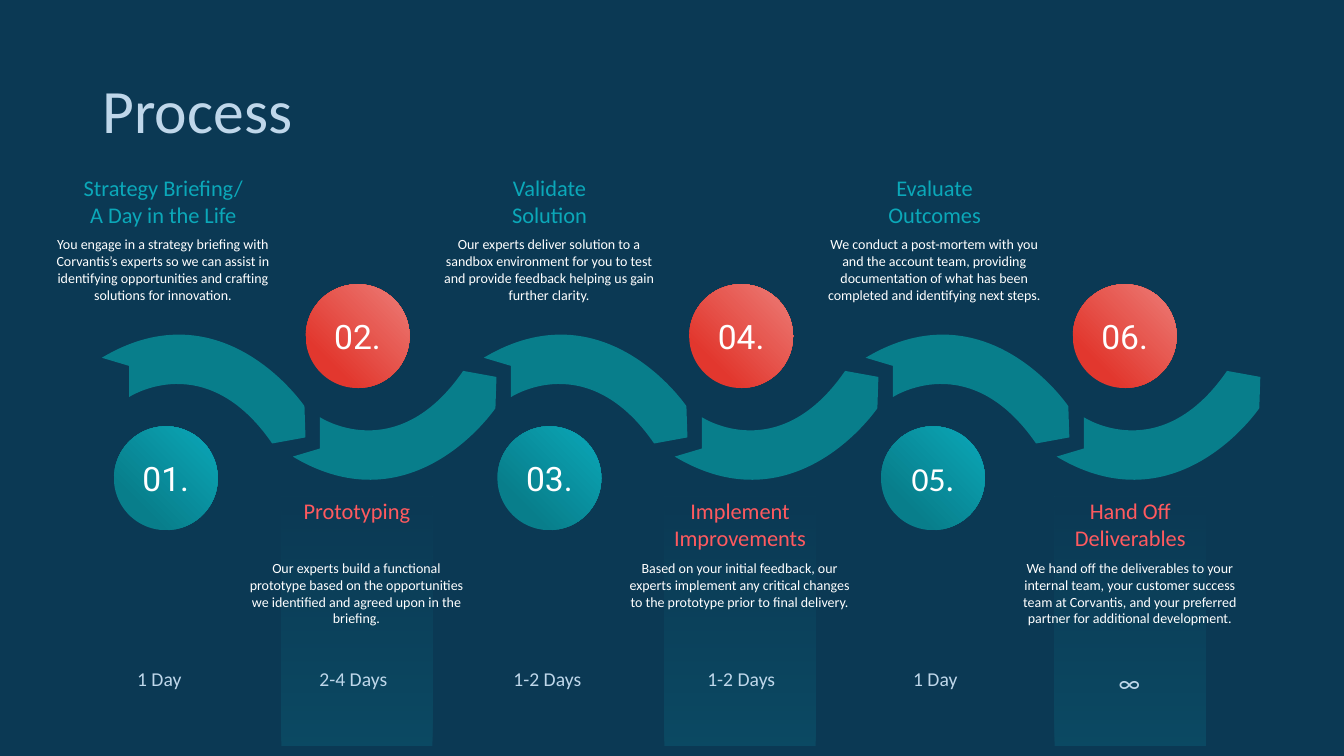
from lxml import etree
from pptx import Presentation
from pptx import util as u
from pptx.dml.color import RGBColor
from pptx.enum import shapes, text
from pptx.oxml.ns import qn

# text centre, heading width, heading, description, duration, numeral font
STEPS = [
    (1.62, 1.86, "Strategy Briefing/\vA Day in the Life",
     "You engage in a strategy briefing with Corvantis’s experts so we can assist in "
     "identifying opportunities and crafting solutions for innovation.", "1 Day", "Roboto"),
    (3.54, 1.74, "Prototyping",
     "Our experts build a functional prototype based on the opportunities we identified "
     "and agreed upon in the briefing.", "2-4 Days", "Roboto"),
    (5.45, 1.74, "Validate\nSolution",
     "Our experts deliver solution to a sandbox environment for you to test and provide "
     "feedback helping us gain further clarity.", "1-2 Days", "Roboto"),
    (7.34, 1.42, "Implement\nImprovements",
     "Based on your initial feedback, our experts implement any critical changes to the "
     "prototype prior to final delivery.", "1-2 Days", "Roboto"),
    (9.27, 1.74, "Evaluate\nOutcomes",
     "We conduct a post-mortem with you and the account team, providing documentation of "
     "what has been completed and identifying next steps.", "1 Day", "Calibri"),
    (11.21, 1.74, "Hand Off\nDeliverables",
     "We hand off the deliverables to your internal team, your customer success team at "
     "Corvantis, and your preferred partner for additional development.", "∞", "Roboto"),
]
NAVY, PALE, WHITE, BAND = "0B3954", "BFD7EA", "FFFFFF", "087E8B"
TOP = {"heading": "0BA8B9", "ball": ("0BA8B9", "087E8B"), "ball_y": 4.23, "text_y": 1.73, "body_y": 2.34, "band_y": 2.83}
BOTTOM = {"heading": "FF5A5F", "ball": ("EC7E78", "E2372E"), "ball_y": 2.82, "text_y": 4.93, "body_y": 5.55, "band_y": 3.68}
BAND_SPAN, BALL_SPAN, DURATION_SPAN = (1.01, 10.48), (1.13, 10.64), (1.58, 11.2)  # first and last step
BAND_H, BALL = 1.57, 1.03
# Ribbon outline: each entry is a corner, or the three points of a curve
RIBBON = [
    [(0.27, 0.8)], [(0.27, 1.11)], [(0.27, 1.11), (1.03, 0.61), (1.69, 1.57)],
    [(2.02, 1.51)], [(2.01, 1.2)], [(2.01, 1.2), (1.2, 0), (0, 0.72)],
]
RIBBON_START = (0, 0.72)
UNITS = 1000                     # freeform grid units to the inch

prs = Presentation()
prs.slide_width, prs.slide_height = u.Inches(13.33), u.Inches(7.5)
slide = prs.slides.add_slide(prs.slide_layouts[6])


def rgb(color):
    return RGBColor.from_string(color)


def box(*lengths):
    return [u.Inches(v) for v in lengths]


def along(span, i):
    first, last = span
    return first + i * (last - first) / (len(STEPS) - 1)


def write(frame, content, size, color, font="Calibri", align=text.PP_ALIGN.CENTER, spacing=None, **frame_format):
    for name, value in frame_format.items():
        setattr(frame, name, value)
    frame.text = content
    for line in frame.paragraphs:
        line.alignment = align
        if spacing:
            line.line_spacing = spacing
        for run in line.runs:
            for name, value in {"size": u.Pt(size), "name": font}.items():
                setattr(run.font, name, value)
            run.font.color.rgb = rgb(color)


def label(place, content, size, color, **options):
    frame = slide.shapes.add_textbox(*box(*place)).text_frame
    write(frame, content, size, color, **{"word_wrap": True, **options})


def gradient(shape, stops, direction, alpha=100):
    """Fill with (position, colour) stops; direction is an a:lin or a:path element."""
    shape.fill.background()
    stop_xml = "".join(
        f'<a:gs pos="{pos * 1000}"><a:srgbClr val="{color}"><a:alpha val="{alpha * 1000}"/>'
        "</a:srgbClr></a:gs>" for pos, color in stops)
    fill = etree.fromstring(
        '<a:gradFill xmlns:a="http://schemas.openxmlformats.org/drawingml/2006/main" rotWithShape="1">'
        f"<a:gsLst>{stop_xml}</a:gsLst>{direction}</a:gradFill>")
    properties = shape.element.spPr
    properties.replace(properties.find(qn("a:noFill")), fill)


def plain(shape):
    shape.shadow.inherit = False
    shape.line.fill.background()
    return shape


def band(left, top, flipped):
    """Draw the ribbon as straight segments, then join each curve's three points into a Bézier."""
    def place(point):
        x, y = point
        return round((left + x) * UNITS), round((top + (BAND_H - y if flipped else y)) * UNITS)

    builder = slide.shapes.build_freeform(*place(RIBBON_START), scale=u.Inches(1) / UNITS)
    builder.add_line_segments([place(p) for piece in RIBBON for p in piece], close=True)
    ribbon = plain(builder.convert_to_shape())
    ribbon.fill.solid()
    ribbon.fill.fore_color.rgb = rgb(BAND)
    segments = iter(list(ribbon.element.iter(qn("a:lnTo"))))
    for piece in RIBBON:
        group = [next(segments) for _ in piece]
        if len(group) == 3:
            curve = etree.Element(qn("a:cubicBezTo"))
            group[0].addprevious(curve)
            for segment in group:
                curve.append(segment[0])
                segment.getparent().remove(segment)


def main():
    slide.background.fill.solid()
    slide.background.fill.fore_color.rgb = rgb(NAVY)
    for center, *_ in STEPS[1::2]:
        column = plain(slide.shapes.add_shape(
            shapes.MSO_SHAPE.RECTANGLE, *box(center - 0.75, 4.93, 1.5, 2.47)))
        gradient(column, [(0, "0BA8B9"), (100, NAVY)], '<a:lin ang="16200000" scaled="0"/>', alpha=15)
    label((0.92, 0.4, 11.5, 1.45), "Process", 44, PALE, align=text.PP_ALIGN.LEFT, spacing=0.9,
          vertical_anchor=text.MSO_ANCHOR.MIDDLE)

    tight = dict.fromkeys(("margin_left", "margin_right", "margin_top", "margin_bottom"), 0)
    grow = {"auto_size": text.MSO_AUTO_SIZE.SHAPE_TO_FIT_TEXT}
    for i, (center, heading_w, heading, body, duration, numeral_font) in enumerate(STEPS):
        side = BOTTOM if i % 2 else TOP
        band(along(BAND_SPAN, i), side["band_y"], flipped=side is BOTTOM)
        heading_h = 0.27 * len(heading.splitlines())
        label((center - heading_w / 2, side["text_y"], heading_w, heading_h), heading, 16,
              side["heading"], **tight, **grow)
        label((center - 1.13, side["body_y"], 2.25, 0.67), body, 10, WHITE, **tight, **grow)

        ball = plain(slide.shapes.add_shape(
            shapes.MSO_SHAPE.OVAL, *box(along(BALL_SPAN, i), side["ball_y"], BALL, BALL)))
        light, dark = side["ball"]
        gradient(ball, [(0, light), (77, dark)],
                 '<a:path path="circle"><a:fillToRect l="100000" b="100000"/></a:path>')
        write(ball.text_frame, f"{i + 1:02}.", 24, WHITE, numeral_font,
              vertical_anchor=text.MSO_ANCHOR.MIDDLE)

        endless = duration == "∞"
        width = 1.49 if endless else 0.65 if duration == "1 Day" else 0.88
        label((along(DURATION_SPAN, i) - width / 2, 6.57, width, 0.4 if endless else 0.34), duration,
              18 if endless else 14, PALE, word_wrap=endless, **grow)
    prs.save("out.pptx")


if __name__ == "__main__":
    main()
